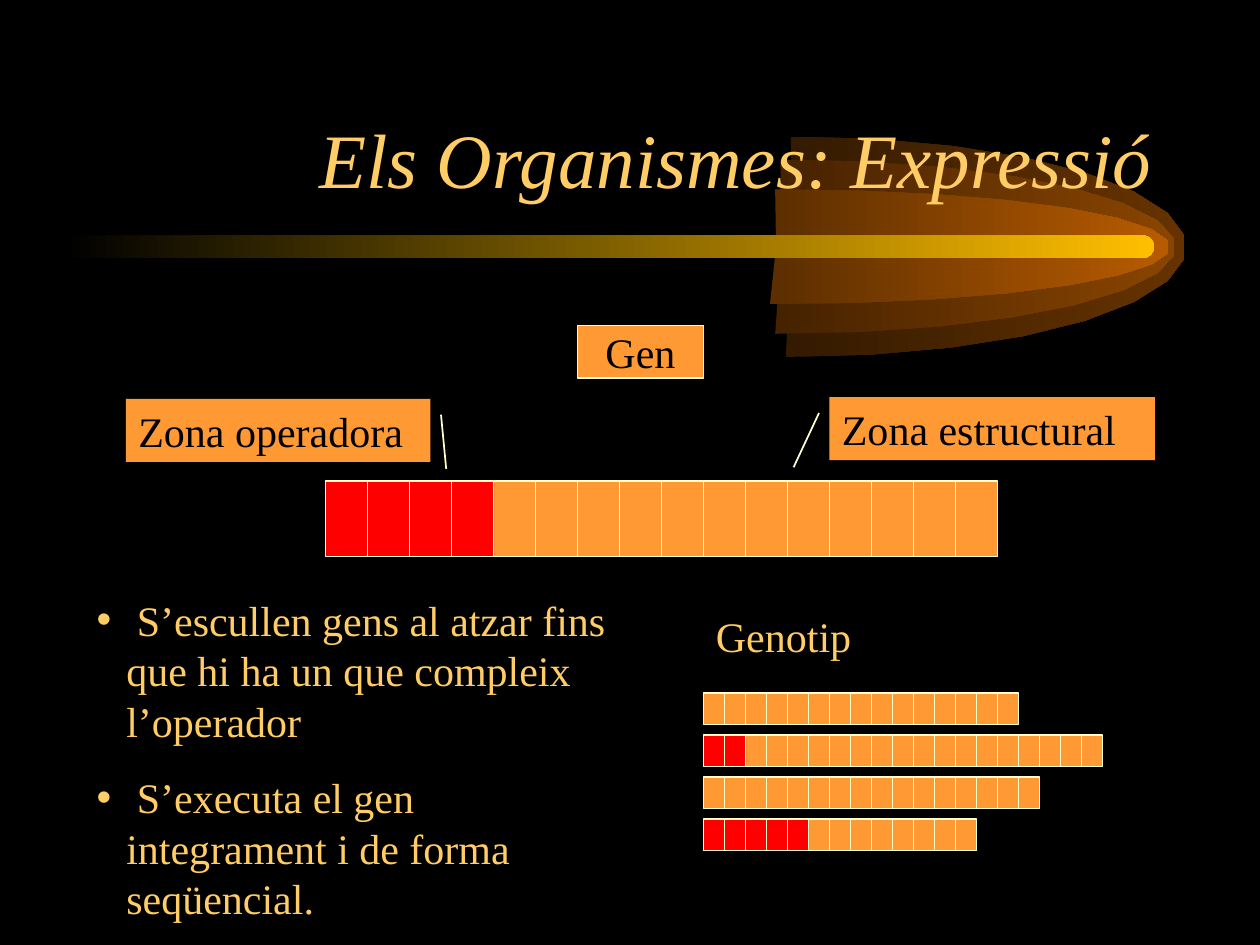
from dataclasses import dataclass

from lxml import etree
from pptx import Presentation
from pptx import util as u
from pptx.dml.color import RGBColor
from pptx.enum import shapes, text
from pptx.oxml import ns

FONT = "Times New Roman"
BLACK, CREAM, GOLD = "000000", "FFFFCC", "FFCC66"
ORANGE, RED = "FF9933", "FF0000"
AXIS = 141
TAIL_EDGE = [(452, 63), (533, 63), (608, 51), (648, 31.5), (688, 12), (688, -12.5),
             (648, -31.5), (608, -51), (533, -63), (449, -63)]
TAIL_NOTCH = (452.5, 0)


@dataclass(frozen=True)
class Box:
    """Position and size in points."""
    left: float
    top: float
    width: float
    height: float

    def lengths(self) -> tuple:
        """Return the four lengths for a python-pptx call."""
        return tuple(u.Pt(v) for v in (self.left, self.top, self.width, self.height))


@dataclass(frozen=True)
class Glow:
    """One layer of the comet's tail."""
    shift: float
    scale: float
    inner: str
    outer: str


@dataclass(frozen=True)
class Gene:
    """A strip of cells that starts with its operator zone."""
    first_cell: Box
    cells: int
    operators: int


@dataclass(frozen=True)
class Zone:
    """A labelled zone with the pointer towards the gene."""
    label: str
    box: Box
    pointer: tuple


GLOWS = [Glow(0, 1, "331A00", "663300"), Glow(-6, 0.79, "452200", "894400"),
         Glow(-9, 0.52, "5C2E00", "B75B00")]
MAIN_GENE = Gene(Box(186, 275, 24, 43), 16, 4)
GENOTYPE = [Gene(Box(402, 396 + 24 * row, 12, 18), cells, operators)
            for row, (cells, operators) in enumerate([(15, 0), (19, 2), (16, 0), (13, 5)])]
ZONES = [Zone("Zona operadora", Box(72, 228, 174, 36), (255, 268, 252, 237)),
         Zone("Zona estructural", Box(474, 227, 186, 36), (453.5, 267, 468, 236))]
RULES = ["S’escullen gens al atzar fins que hi ha un que compleix l’operador",
         "S’executa el gen integrament i de forma seqüencial."]


def rgb(code: str) -> RGBColor:
    """Turn a hex string into a colour."""
    return RGBColor.from_string(code)


def write(shape, *lines: str, size=24, color=BLACK, italic=False, align=text.PP_ALIGN.LEFT,
          anchor=text.MSO_ANCHOR.TOP, wrap=True, bullet=False) -> None:
    """Fill a shape with formatted paragraphs."""
    frame = shape.text_frame
    frame.text = "\n".join(lines)
    frame.auto_size = text.MSO_AUTO_SIZE.NONE
    frame.word_wrap, frame.vertical_anchor = wrap, anchor
    for paragraph in frame.paragraphs:
        paragraph.alignment = align
        paragraph.space_before = u.Pt(15 if bullet else 0)
        if bullet:
            properties = paragraph._p.get_or_add_pPr()
            properties.set("marL", str(u.Pt(17)))
            properties.set("indent", str(u.Pt(-17)))
            etree.SubElement(properties, ns.qn("a:buChar")).set("char", "•")
        for run in paragraph.runs:
            font = run.font
            font.name, font.size, font.italic = FONT, u.Pt(size), italic
            font.color.rgb = rgb(color)


def shade(shape, start: str, end: str) -> None:
    """Give a shape a left-to-right gradient and no outline."""
    shape.shadow.inherit = False
    shape.line.fill.background()
    shape.fill.gradient()
    shape.fill.gradient_angle = 0
    for stop, code in zip(shape.fill.gradient_stops, (start, end)):
        stop.color.rgb = rgb(code)


def curve(controls: list, steps: int = 5) -> list:
    """Sample a chain of cubic curves."""
    points = [controls[0]]
    for first in range(0, len(controls) - 1, 3):
        for step in range(1, steps + 1):
            t = step / steps
            weights = ((1 - t) ** 3, 3 * t * (1 - t) ** 2, 3 * t * t * (1 - t), t ** 3)
            points.append(tuple(sum(w * p[axis] for w, p in zip(weights, controls[first:first + 4]))
                                for axis in (0, 1)))
    return points


def draw_glow(slide, glow: Glow) -> None:
    """Draw one layer of the comet's tail."""
    outline = [(u.Pt(x + glow.shift), u.Pt(AXIS - y * glow.scale))
               for x, y in curve(TAIL_EDGE) + [TAIL_NOTCH]]
    builder = slide.shapes.build_freeform(*outline[0])
    builder.add_line_segments(outline[1:], close=True)
    shade(builder.convert_to_shape(), glow.inner, glow.outer)


def draw_block(slide, box: Box, color: str, outlined: bool = True):
    """Draw a flat rectangle."""
    block = slide.shapes.add_shape(shapes.MSO_SHAPE.RECTANGLE, *box.lengths())
    block.shadow.inherit = False
    block.fill.solid()
    block.fill.fore_color.rgb = rgb(color)
    if outlined:
        block.line.color.rgb = rgb(CREAM)
        block.line.width = u.Pt(1)
    else:
        block.line.fill.background()
    return block


def draw_gene(slide, gene: Gene) -> None:
    """Draw the cells of a gene side by side."""
    start = gene.first_cell
    for index in range(gene.cells):
        cell = Box(start.left + index * start.width, start.top, start.width, start.height)
        draw_block(slide, cell, RED if index < gene.operators else ORANGE)


def draw_zone(slide, zone: Zone) -> None:
    """Draw a zone's label and pointer."""
    write(draw_block(slide, zone.box, ORANGE, outlined=False), zone.label)
    pointer = slide.shapes.add_connector(shapes.MSO_CONNECTOR.STRAIGHT,
                                         *(u.Pt(v) for v in zone.pointer))
    pointer.line.color.rgb = rgb(CREAM)
    pointer.line.width = u.Pt(1)
    etree.SubElement(pointer._element.spPr, ns.qn("a:effectLst"))


def place(shape, box: Box) -> None:
    """Move a placeholder and bring it to the front."""
    shape.left, shape.top, shape.width, shape.height = box.lengths()
    shape.element.getparent().append(shape.element)


def main() -> None:
    """Build and save the slide."""
    deck = Presentation()
    deck.slide_width, deck.slide_height = u.Pt(720), u.Pt(540)
    slide = deck.slides.add_slide(deck.slide_layouts[1])
    slide.background.fill.solid()
    slide.background.fill.fore_color.rgb = rgb(BLACK)
    title, rules = slide.placeholders

    for glow in GLOWS:
        draw_glow(slide, glow)
    beam = slide.shapes.add_shape(shapes.MSO_SHAPE.ROUNDED_RECTANGLE,
                                  *Box(36, 134.5, 623.5, 13).lengths())
    beam.adjustments[0] = 0.5
    shade(beam, BLACK, "FFBF00")

    place(title, Box(54, 30, 612, 90))
    write(title, "Els Organismes: Expressió", size=44, color=GOLD, italic=True,
          align=text.PP_ALIGN.RIGHT, anchor=text.MSO_ANCHOR.BOTTOM)

    draw_gene(slide, MAIN_GENE)
    gene_label = draw_block(slide, Box(330, 186, 72, 30), ORANGE)
    write(gene_label, "Gen", align=text.PP_ALIGN.CENTER, anchor=text.MSO_ANCHOR.MIDDLE, wrap=False)
    for zone in ZONES:
        draw_zone(slide, zone)

    for gene in GENOTYPE:
        draw_gene(slide, gene)
    genotype_label = slide.shapes.add_textbox(*Box(402, 348, 108, 30).lengths())
    write(genotype_label, "Genotip", color=GOLD, anchor=text.MSO_ANCHOR.MIDDLE, wrap=False)

    place(rules, Box(48, 336, 312, 166))
    write(rules, *(f" {rule}" for rule in RULES), color=GOLD, bullet=True)
    deck.save("out.pptx")


if __name__ == "__main__":
    main()
